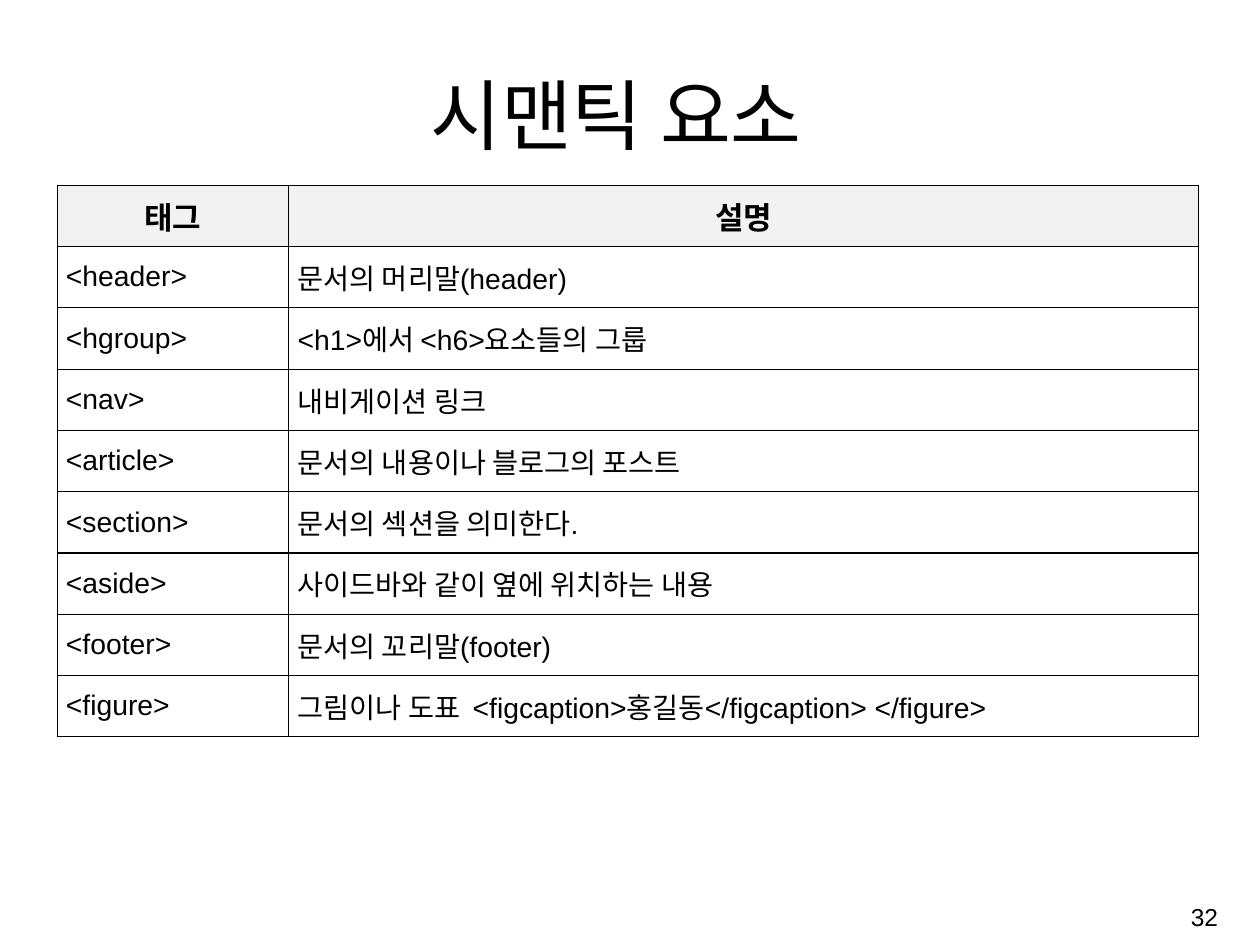
"""Build the slide that lists the semantic HTML elements in a table."""
import pptx
import pptx.dml.color
import pptx.enum.text
import pptx.oxml
import pptx.oxml.ns
import pptx.util

Pt = pptx.util.Pt
ALIGN = pptx.enum.text.PP_ALIGN
ANCHOR = pptx.enum.text.MSO_ANCHOR
COLORS = {"text": "000000", "border": "000000", "header": "F2F2F2"}
ROWS = [
    ("태그", "설명"),
    ("<header>", "문서의 머리말(header)"),
    ("<hgroup>", "<h1>에서 <h6>요소들의 그룹"),
    ("<nav>", "내비게이션 링크"),
    ("<article>", "문서의 내용이나 블로그의 포스트"),
    ("<section>", "문서의 섹션을 의미한다."),
    ("<aside>", "사이드바와 같이 옆에 위치하는 내용"),
    ("<footer>", "문서의 꼬리말(footer)"),
    ("<figure>", "그림이나 도표  <figcaption>홍길동</figcaption> </figure>"),
]


def set_all(target, values):
    for name, value in values.items():
        setattr(target, name, value)


class SlideBuilder:
    def __init__(self, slide, font_name, colors):
        self.slide = slide
        self.font_name = font_name
        self.colors = colors

    def color(self, name):
        return pptx.dml.color.RGBColor.from_string(self.colors[name])

    def add_text(self, paragraph, text, size, alignment, bold=False):
        paragraph.alignment = alignment
        run = paragraph.add_run()
        run.text = text
        set_all(run.font, {"name": self.font_name, "size": Pt(size), "bold": bold})
        run.font.color.rgb = self.color("text")

    def text_box(self, text, box, size, alignment, anchor):
        shape = self.slide.shapes.add_textbox(*map(Pt, box))
        frame = shape.text_frame
        set_all(frame, {"word_wrap": True, "vertical_anchor": anchor})
        self.add_text(frame.paragraphs[0], text, size, alignment)

    def cell_borders(self, cell, width):
        properties = cell._tc.get_or_add_tcPr()
        for index, side in enumerate(("lnL", "lnR", "lnT", "lnB")):
            line = pptx.oxml.parse_xml(
                f'<a:{side} {pptx.oxml.ns.nsdecls("a")} w="{Pt(width)}"><a:solidFill>'
                f'<a:srgbClr val="{self.colors["border"]}"/></a:solidFill></a:{side}>'
            )
            properties.insert(index, line)

    def table(self, rows, left, top, column_widths, row_height):
        size = (sum(column_widths), row_height * len(rows))
        shape = self.slide.shapes.add_table(
            len(rows), len(column_widths), *map(Pt, (left, top, *size))
        )
        table = shape.table
        set_all(table, {"first_row": False, "horz_banding": False})
        for column, width in zip(table.columns, column_widths):
            column.width = Pt(width)
        cell_format = {
            "vertical_anchor": ANCHOR.MIDDLE,
            "margin_left": Pt(6.5),
            "margin_right": Pt(6.5),
            "margin_top": Pt(2),
            "margin_bottom": Pt(2),
        }
        for row_index, texts in enumerate(rows):
            table.rows[row_index].height = Pt(row_height)
            for column_index, text in enumerate(texts):
                cell = table.cell(row_index, column_index)
                set_all(cell, cell_format)
                paragraph = cell.text_frame.paragraphs[0]
                if row_index == 0:
                    cell.fill.solid()
                    cell.fill.fore_color.rgb = self.color("header")
                    self.add_text(paragraph, text, 23, ALIGN.CENTER, bold=True)
                else:
                    cell.fill.background()
                    self.add_text(paragraph, text, 21, ALIGN.JUSTIFY)
                self.cell_borders(cell, 1)


def main():
    presentation = pptx.Presentation()
    set_all(presentation, {"slide_width": Pt(935.5), "slide_height": Pt(701.5)})
    slide = presentation.slides.add_slide(presentation.slide_layouts[6])
    builder = SlideBuilder(slide, "Arial", COLORS)
    builder.text_box("시맨틱 요소", (75.5, 44, 764, 78), 57.2, ALIGN.CENTER, ANCHOR.BOTTOM)
    builder.table(ROWS, 42.5, 137.5, (172, 675.5), 45.5)
    builder.text_box("32", (718.5, 659, 193, 43), 18.2, ALIGN.RIGHT, ANCHOR.MIDDLE)
    presentation.save("out.pptx")


if __name__ == "__main__":
    main()
